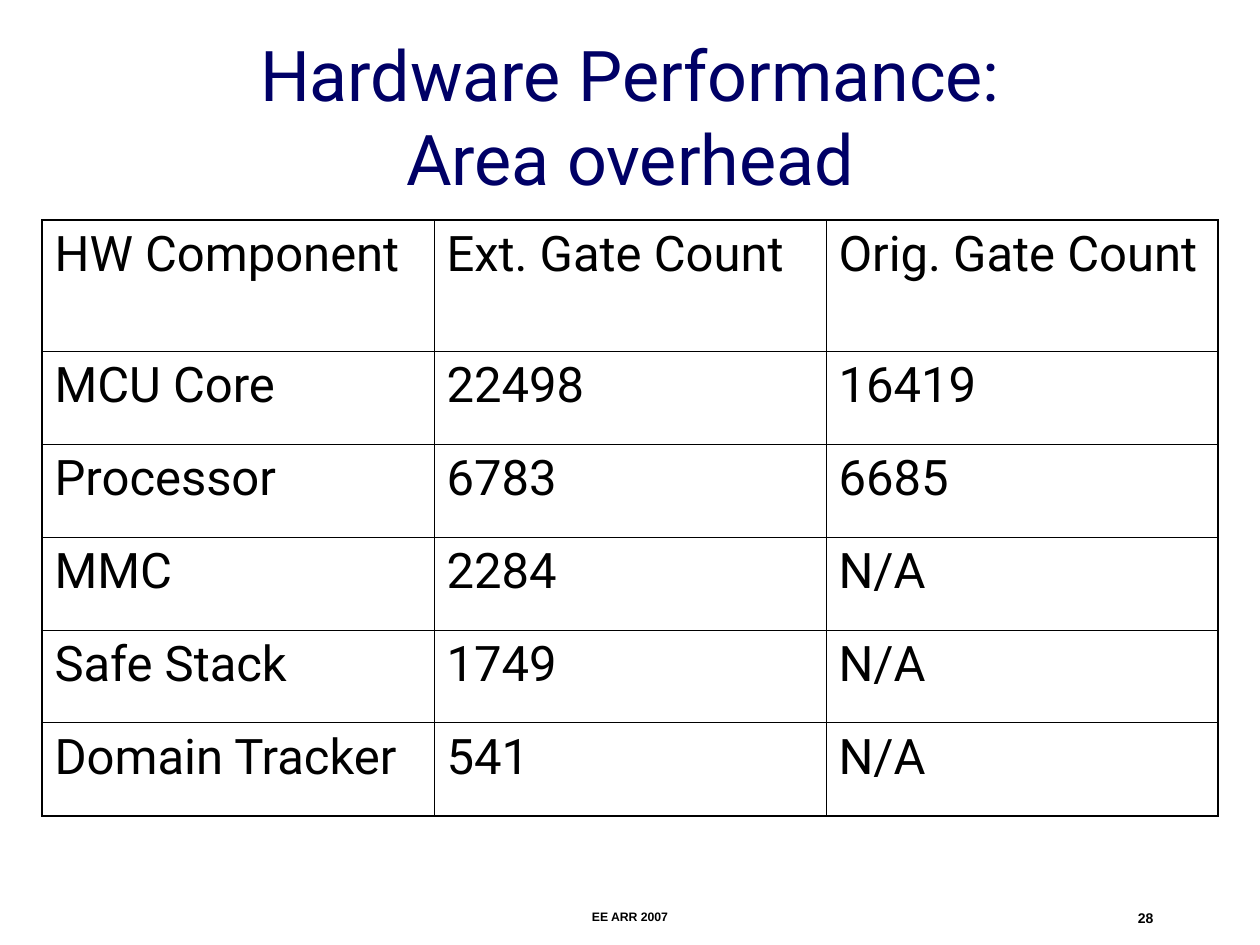
import pptx
import pptx.util
import pptx.dml.color
import pptx.enum.text
import pptx.oxml
import pptx.oxml.ns

PX = pptx.util.Inches(1) / 126
ALIGN = pptx.enum.text.PP_ALIGN
ANCHOR = pptx.enum.text.MSO_ANCHOR
ROWS = [
    ("HW Component", "Ext. Gate Count", "Orig. Gate Count"),
    ("MCU Core", "22498", "16419"),
    ("Processor", "6783", "6685"),
    ("MMC", "2284", "N/A"),
    ("Safe Stack", "1749", "N/A"),
    ("Domain Tracker", "541", "N/A"),
]
HEADER, ROW, COL = 131, 93, 392
THIN, THICK = 0.45, 1.08


def px(count):
    return pptx.util.Emu(round(count * PX))


def color(code):
    return pptx.dml.color.RGBColor.from_string(code)


def add_run(para, text, size, face="Roboto", code="000000", bold=False):
    run = para.add_run()
    run.text = text
    run.font.size = pptx.util.Pt(size)
    run.font.name = face
    run.font.bold = bold
    run.font.color.rgb = color(code)


def set_title(slide):
    title = slide.shapes.title
    title.left, title.top, title.width, title.height = map(px, (94, 32, 1072, 168))
    frame = title.text_frame
    frame.auto_size = pptx.enum.text.MSO_AUTO_SIZE.NONE
    frame.vertical_anchor = ANCHOR.MIDDLE
    frame.margin_left = frame.margin_right = 0
    frame.margin_top = frame.margin_bottom = 0
    para = frame.paragraphs[0]
    para.alignment = ALIGN.CENTER
    add_run(para, "Hardware Performance:", 40, code="000066")
    para.add_line_break()
    add_run(para, "Area overhead", 40, code="000066")


def set_edges(cell, widths):
    """Draw the cell's left, right, top and bottom lines, widths in points."""
    props = cell._tc.get_or_add_tcPr()
    for index, (side, width) in enumerate(zip("LRTB", widths)):
        line = pptx.oxml.parse_xml(
            f'<a:ln{side} {pptx.oxml.ns.nsdecls("a")} w="{pptx.util.Pt(width)}">'
            '<a:solidFill><a:srgbClr val="000000"/></a:solidFill>'
            f'</a:ln{side}>')
        props.insert(index, line)


def add_grid(slide):
    last, end = len(ROWS) - 1, len(ROWS[0]) - 1
    frame = slide.shapes.add_table(
        len(ROWS), len(ROWS[0]), px(42), px(220),
        px(COL * (end + 1)), px(HEADER + ROW * last))
    table = frame.table
    table.first_row = table.horz_banding = False
    for column in table.columns:
        column.width = px(COL)
    for r, texts in enumerate(ROWS):
        table.rows[r].height = px(ROW if r else HEADER)
        for c, text in enumerate(texts):
            cell = table.cell(r, c)
            cell.fill.background()
            outer = (c == 0, c == end, r == 0, r == last)
            set_edges(cell, [THICK if edge else THIN for edge in outer])
            add_run(cell.text_frame.paragraphs[0], text, 28)


def add_note(slide, text, left, width, size, align):
    box = slide.shapes.add_textbox(px(left), px(903), px(width), px(21))
    frame = box.text_frame
    frame.word_wrap = True
    para = frame.paragraphs[0]
    para.alignment = align
    add_run(para, text, size, "Arial", bold=True)


def main():
    deck = pptx.Presentation()
    deck.slide_width, deck.slide_height = px(1260), px(945)
    slide = deck.slides.add_slide(deck.slide_layouts[5])
    set_title(slide)
    add_grid(slide)
    add_note(slide, "EE ARR 2007", 430, 400, 7, ALIGN.CENTER)
    add_note(slide, "28", 903, 263, 8, ALIGN.RIGHT)
    deck.save("out.pptx")


if __name__ == "__main__":
    main()
